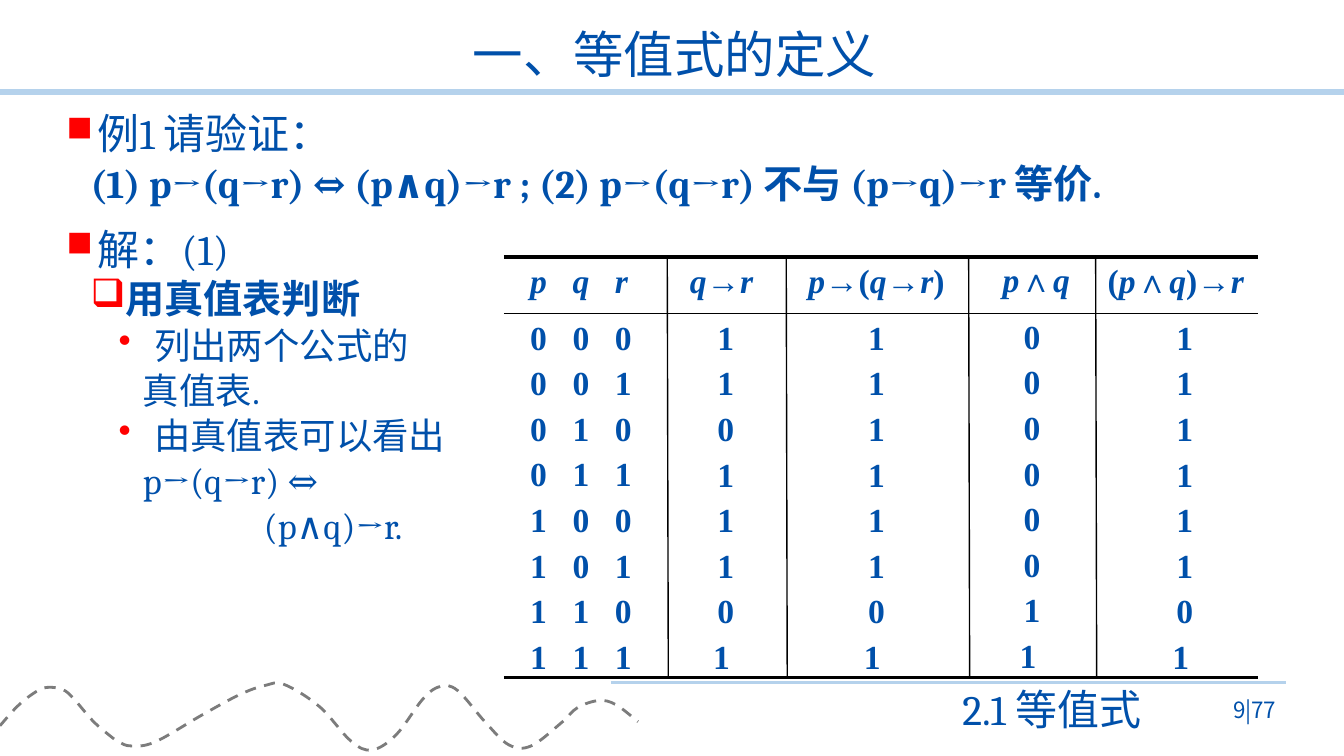
from dataclasses import dataclass
from itertools import groupby, product

from lxml import etree
from pptx import Presentation
from pptx.dml.color import RGBColor
from pptx.enum.dml import MSO_LINE
from pptx.enum.shapes import MSO_CONNECTOR
from pptx.enum.text import MSO_ANCHOR, MSO_AUTO_SIZE, PP_ALIGN
from pptx.oxml.ns import qn
from pptx.util import Inches, Pt

STRAIGHT = MSO_CONNECTOR.STRAIGHT
DASH = MSO_LINE.DASH
TOP, MIDDLE = MSO_ANCHOR.TOP, MSO_ANCHOR.MIDDLE
LEFT, CENTER, RIGHT = PP_ALIGN.LEFT, PP_ALIGN.CENTER, PP_ALIGN.RIGHT
NO_AUTOFIT = MSO_AUTO_SIZE.NONE
COLUMNS, ROWS = 80, 45
CELL = Inches(7.5) / ROWS


@dataclass(frozen=True)
class Theme:
    ink: str = "0050AA"
    bullet: str = "FF0000"
    rule: str = "B5D2EC"
    wave: str = "7C7C7C"
    border: str = "000000"
    heading_font: str = "Cambria"
    table_font: str = "Times New Roman"
    asian_font: str = "Noto Sans CJK SC"
    title: float = 36
    example: float = 30
    formula: float = 28
    detail: float = 26
    table: float = 24
    page: float = 16


def grid(cells):
    return round(cells * CELL)


class SlideBuilder:
    def __init__(self, presentation, theme):
        self.theme = theme
        self.slide = presentation.slides.add_slide(presentation.slide_layouts[5])

    def run(self, paragraph, text, size, font=None, bold=False, italic=False):
        run = paragraph.add_run()
        run.text = text
        run.font.size = Pt(size)
        run.font.bold, run.font.italic = bold, italic
        run.font.color.rgb = RGBColor.from_string(self.theme.ink)
        run.font.name = font or self.theme.heading_font
        etree.SubElement(run.font._element, qn("a:ea"), typeface=self.theme.asian_font)

    def title(self, box, text):
        shape = self.slide.shapes.title
        shape.left, shape.top, shape.width, shape.height = map(grid, box)
        frame = shape.text_frame
        frame.auto_size = NO_AUTOFIT
        frame.vertical_anchor = MIDDLE
        paragraph = frame.paragraphs[0]
        paragraph.alignment = CENTER
        paragraph.line_spacing = 0.9
        self.run(paragraph, text, self.theme.title)

    def text_frame(self, box, anchor=TOP):
        frame = self.slide.shapes.add_textbox(*map(grid, box)).text_frame
        frame.word_wrap = True
        frame.vertical_anchor = anchor
        return frame

    def label(self, box, text, size, font=None, before=0, anchor=TOP):
        paragraph = self.text_frame(box, anchor).paragraphs[0]
        paragraph.alignment = RIGHT
        paragraph.space_before = Pt(before)
        self.run(paragraph, text, size, font)

    def outline(self, box, items):
        frame = self.text_frame(box)
        for index, (text, size, before, margin, hanging, bullet, bold) in enumerate(items):
            paragraph = frame.add_paragraph() if index else frame.paragraphs[0]
            paragraph.alignment = LEFT
            paragraph.line_spacing = 0.84
            paragraph.space_before = Pt(before)
            properties = paragraph._p.get_or_add_pPr()
            properties.set("marL", str(grid(margin)))
            properties.set("indent", str(-grid(hanging)))
            if bullet:
                color = etree.SubElement(properties, qn("a:buClr"))
                etree.SubElement(color, qn("a:srgbClr"), val=self.theme.bullet)
                if bullet == "■":
                    etree.SubElement(properties, qn("a:buSzPct"), val="85000")
                etree.SubElement(properties, qn("a:buChar"), char=bullet)
            self.run(paragraph, text, size, bold=bold)

    def table_column(self, box, lines, before, tabs=()):
        frame = self.text_frame(box)
        frame.margin_top = grid(0.2)
        if tabs:
            frame.margin_left = grid(tabs[0])
        for index, line in enumerate(lines):
            paragraph = frame.add_paragraph() if index else frame.paragraphs[0]
            paragraph.alignment = LEFT if tabs else CENTER
            paragraph.space_before = Pt(before)
            if tabs:
                stops = etree.SubElement(paragraph._p.get_or_add_pPr(), qn("a:tabLst"))
                for stop in tabs[1:]:
                    etree.SubElement(stops, qn("a:tab"), pos=str(grid(stop)), algn="l")
            for italic, letters in groupby(line, str.isalpha):
                self.run(paragraph, "".join(letters), self.theme.table,
                         self.theme.table_font, True, italic)

    def line(self, start, end, width, color):
        connector = self.slide.shapes.add_connector(
            STRAIGHT, *map(grid, start), *map(grid, end))
        connector.line.color.rgb = RGBColor.from_string(color)
        connector.line.width = Pt(width)
        etree.SubElement(connector._element.spPr, qn("a:effectLst"))

    def wave(self, knots):
        points = [tuple(map(grid, knot)) for knot in knots]
        builder = self.slide.shapes.build_freeform(*points[0])
        builder.add_line_segments(points[1:], close=False)
        shape = builder.convert_to_shape()
        padded = [points[0], *points, points[-1]]
        segments = list(shape._element.iter(qn("a:lnTo")))
        for segment, a, b, c, d in zip(segments, padded, padded[1:], padded[2:], padded[3:]):
            curve = etree.Element(qn("a:cubicBezTo"))
            controls = ([q + (r - p) / 6 for p, q, r in zip(a, b, c)],
                        [r - (s - q) / 6 for q, r, s in zip(b, c, d)], c)
            for x, y in controls:
                etree.SubElement(curve, qn("a:pt"), x=str(round(x - shape.left)),
                                 y=str(round(y - shape.top)))
            segment.getparent().replace(segment, curve)
        shape.shadow.inherit = False
        shape.fill.background()
        shape.line.color.rgb = RGBColor.from_string(self.theme.wave)
        shape.line.width = Pt(2)
        shape.line.dash_style = DASH

    def truth_table(self, values):
        left, top, middle, bottom, right = 30, 15.3, 18.66, 40.32, 74.88
        p, q, r, *results = zip(*values)
        variables = ["\t".join(map(str, row)) for row in zip(p, q, r)]
        tabs = (2.22, 2.52, 5.04)
        self.table_column((29.34, 18.66, 10.38, 21.24), variables, 3.7, tabs)
        self.table_column((29.34, 15.3, 10.38, 3.36), ["p\tq\tr"], 4.8, tabs)
        columns = [
            ("q→r ", (39.66, 15.3, 7.08), (39.9, 18.66, 6.6)),
            ("p→(q→r)", (46.98, 15.3, 10.38), (47.46, 18.66, 9.42)),
            ("p∧q", (58.14, 15.24, 7.08), (57.66, 18.6, 7.56)),
            ("(p∧q)→r", (64.68, 15.3, 10.62), (65.7, 18.66, 9.66))]
        for (heading, heading_box, value_box), result in zip(columns, results):
            *lines, last = map(str, result)
            self.table_column((*heading_box, 3.36), [heading], 4.8)
            self.table_column((*value_box, 21.72), [*lines, last + " "], 3.7)
        for y, width in ((top, 2.25), (middle, 1), (bottom, 2.25)):
            self.line((left, y), (right, y), width, self.theme.border)
        for x in (39.72, 46.8, 57.66, 65.22):
            self.line((x, top), (x + 0.06, bottom), 1, self.theme.border)


def truth_values():
    for p, q, r in product((0, 1), repeat=3):
        inner = int(not q or r)
        both = p & q
        yield p, q, r, inner, int(not p or inner), both, int(not both or r)


def main():
    presentation = Presentation()
    presentation.slide_width, presentation.slide_height = grid(COLUMNS), grid(ROWS)
    theme = Theme()
    builder = SlideBuilder(presentation, theme)
    builder.line((0, 5.46), (COLUMNS, 5.46), 4, theme.rule)
    builder.line((36.36, 40.62), (76.56, 40.62), 1.75, theme.rule)
    builder.wave([
        (0, 43.2), (1.02, 42.06), (1.98, 41.28), (2.76, 40.92), (3.72, 41.04),
        (4.38, 41.58), (5.52, 42.9), (6.48, 43.74), (7.08, 44.16), (7.8, 44.4),
        (9.24, 44.16), (12.06, 42.54), (14.28, 41.34), (15.78, 40.8), (16.92, 40.74),
        (19.02, 42.06), (20.88, 44.1), (22.14, 44.64), (23.58, 43.74), (25.2, 41.58),
        (26.22, 40.86), (27.24, 41.1), (28.92, 43.02), (30.3, 44.34), (31.62, 44.4),
        (33.42, 43.02), (34.38, 42.12), (35.64, 41.7), (36.66, 41.94), (37.98, 42.96)])
    builder.title((9.42, 1.44, 61.44, 3.9), "一、等值式的定义")
    detail = (theme.detail, 6)
    builder.outline((3.36, 6.6, 73.2, 30.48), [
        ("例1 请验证：", theme.example, 6, 1.86, 1.86, "■", False),
        ("(1) p→(q→r) ⇔ (p∧q)→r ; (2) p→(q→r) 不与 (p→q)→r 等价.",
         theme.formula, 6, 1.44, 0, None, True),
        ("解：(1)", theme.example, 18, 1.86, 1.86, "■", False),
        ("用真值表判断", theme.formula, 6, 3.3, 1.86, "❑", True),
        ("列出两个公式的", *detail, 5.22, 2.1, "•", False),
        ("真值表.", *detail, 4.56, 0, None, False),
        ("由真值表可以看出", *detail, 5.22, 2.1, "•", False),
        ("p→(q→r) ⇔", *detail, 4.56, 0, None, False),
        ("(p∧q)→r.", *detail, 11.76, 0, None, False)])
    builder.label((33.06, 40.38, 35.46, 3.66), "2.1 等值式", theme.example, before=6)
    builder.truth_table(truth_values())
    builder.label((70.26, 41.04, 6.3, 2.4), "9|77", theme.page,
                  theme.asian_font, anchor=MIDDLE)
    presentation.save("out.pptx")


if __name__ == "__main__":
    main()
